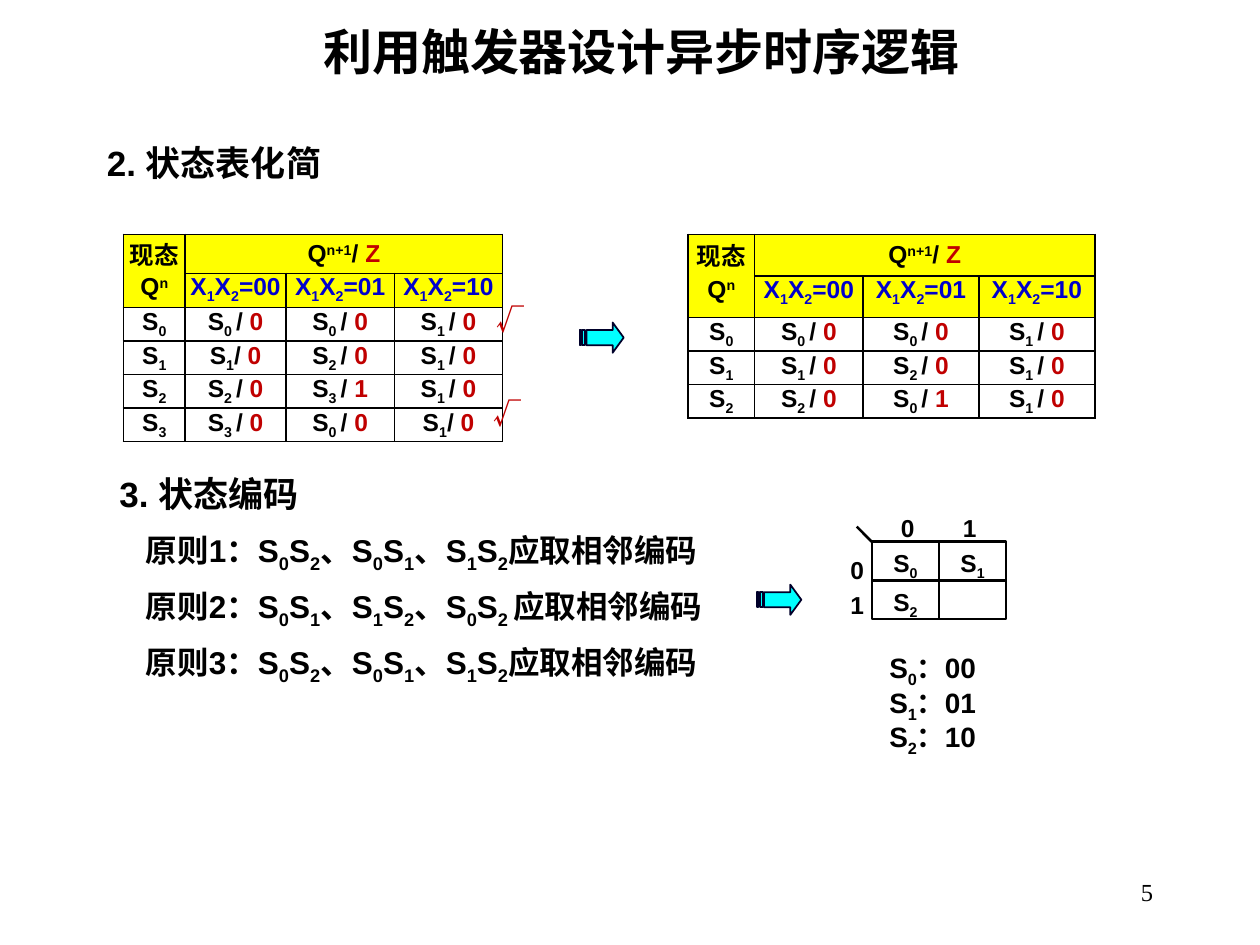
from dataclasses import dataclass

from lxml import etree
from pptx import Presentation
from pptx.dml.color import RGBColor
from pptx.enum.shapes import MSO_CONNECTOR, MSO_SHAPE
from pptx.enum.text import MSO_ANCHOR, PP_ALIGN
from pptx.oxml.ns import qn
from pptx.util import Inches, Pt

COLUMNS, ROWS = 100, 75  # slide grid


@dataclass(frozen=True)
class Theme:
    black: str = "000000"
    red: str = "C00000"
    blue: str = "0000CC"
    yellow: str = "FFFF00"
    cyan: str = "00FFFF"
    navy: str = "00002A"
    latin: str = "Arial"
    cjk: str = "Noto Sans CJK SC"
    serif: str = "Times New Roman"
    title: int = 28
    heading: int = 20
    body: int = 18
    code: int = 16
    small: int = 14


T = Theme()
prs = Presentation()
prs.slide_width, prs.slide_height = Inches(10), Inches(7.5)
slide = prs.slides.add_slide(prs.slide_layouts[6])
shapes = slide.shapes


def col(n):
    return round(prs.slide_width * n / COLUMNS)


def row(n):
    return round(prs.slide_height * n / ROWS)


def place(x, y, w, h):
    return col(x), row(y), col(w), row(h)


def rgb(value):
    return RGBColor.from_string(value)


def write(p, markup, size, font=T.latin, color=T.black, bold=True, align=None):
    """Parts are split by '|'; a leading _ lowers, ^ raises, ! turns red."""
    p.alignment = align
    for part in markup.split("|"):
        mark = part[0] if part[0] in "_^!" else ""
        run = p.add_run()
        run.text = part[len(mark):]
        run.font.size, run.font.bold, run.font.name = Pt(size), bold, font
        run.font.color.rgb = rgb(T.red if mark == "!" else color)
        props = run.font._element
        etree.SubElement(props, qn("a:ea")).set("typeface", font)
        if mark in ("_", "^"):
            props.set("baseline", "-25000" if mark == "_" else "30000")


def text(box, lines, size, spacing=None, before=0, anchor=MSO_ANCHOR.TOP, **style):
    frame = shapes.add_textbox(*place(*box)).text_frame
    frame.word_wrap, frame.vertical_anchor = True, anchor
    for i, line in enumerate(lines):
        p = frame.paragraphs[0] if i == 0 else frame.add_paragraph()
        p.line_spacing = spacing
        p.space_before = Pt(before if i else 0)
        write(p, line, size, **style)


def outline(cell, hidden=""):
    """Black cell borders, except the one side named as hidden."""
    props = cell._tc.get_or_add_tcPr()
    for i, side in enumerate("LRTB"):
        line = etree.Element(qn(f"a:ln{side}"), w=str(Pt(1)))
        if side == hidden:
            etree.SubElement(line, qn("a:noFill"))
        else:
            fill = etree.SubElement(line, qn("a:solidFill"))
            etree.SubElement(fill, qn("a:srgbClr"), val=T.black)
        props.insert(i, line)


def state_table(x, y, widths, heights, states):
    """Each state row lists 'next state/output' for the three inputs."""
    frame = shapes.add_table(len(heights), len(widths),
                             *place(x, y, sum(widths), sum(heights)))
    table = frame.table
    table.first_row = table.horz_banding = False
    for column, width in zip(table.columns, widths):
        column.width = col(width)
    for line, height in zip(table.rows, heights):
        line.height = row(height)

    inputs = [f"X|_1|X|_2|={pair}" for pair in ("00", "01", "10")]
    grid = [["现态", "Q|^n+1|/ |!Z", "", ""], ["Q|^n"] + inputs]
    for i, codes in enumerate(states):
        pairs = [code.split("/") for code in codes]
        grid.append([f"S|_{i}"] + [f"S|_{s}|/ |!{z}" for s, z in pairs])

    for r, line in enumerate(grid):
        for c, markup in enumerate(line):
            cell = table.cell(r, c)
            cell.margin_left = cell.margin_right = 0
            cell.margin_top = cell.margin_bottom = 0
            cell.vertical_anchor = MSO_ANCHOR.TOP if r == 1 else MSO_ANCHOR.MIDDLE
            if r < 2:
                cell.fill.solid()
                cell.fill.fore_color.rgb = rgb(T.yellow)
            else:
                cell.fill.background()
            outline(cell, {(0, 0): "B", (1, 0): "T"}.get((r, c), ""))
            if markup:
                write(cell.text_frame.paragraphs[0], markup, T.small,
                      font=T.cjk if (r, c) == (0, 0) else T.latin,
                      color=T.blue if r == 1 and c else T.black,
                      align=PP_ALIGN.CENTER)
    table.cell(0, 1).merge(table.cell(0, 3))


def striped_arrow(x, y, w=3.5, h=2.4):
    """Right arrow with two stripes at its tail, drawn in 32nds and quarters."""
    head = [(24, 0), (24, 1), (5, 1), (5, 3), (24, 3), (24, 4), (32, 2)]
    stripes = [[(a, 1), (a, 3), (b, 3), (b, 1)] for a, b in ((2, 4), (0, 1))]
    builder = None
    for path in [head] + stripes:
        points = [(col(x + w * u / 32), row(y + h * v / 4)) for u, v in path]
        if builder is None:
            builder = shapes.build_freeform(*points[0])
        else:
            builder.move_to(*points[0])
        builder.add_line_segments(points[1:], close=True)
    arrow = builder.convert_to_shape()
    arrow.shadow.inherit = False
    arrow.fill.solid()
    arrow.fill.fore_color.rgb = rgb(T.cyan)
    arrow.line.color.rgb, arrow.line.width = rgb(T.navy), Pt(1)


def state_map(x, y, w=5.33, h=3.07):
    """Two by two code map with its labels; x, y is the corner of the cells."""
    for i, markup in enumerate(["S|_0", "S|_1", "S|_2", ""]):
        r, c = divmod(i, 2)
        cell = shapes.add_shape(MSO_SHAPE.RECTANGLE,
                                *place(x + c * w, y + r * h, w, h))
        cell.shadow.inherit = False
        cell.fill.background()
        cell.line.color.rgb, cell.line.width = rgb(T.black), Pt(1.5)
        cell.text_frame.vertical_anchor = MSO_ANCHOR.TOP
        if markup:
            write(cell.text_frame.paragraphs[0], markup, T.small,
                  align=PP_ALIGN.CENTER)
    corner = shapes.add_connector(MSO_CONNECTOR.STRAIGHT, col(x - 1.2),
                                  row(y - 1.2), col(x), row(y))
    corner.line.color.rgb, corner.line.width = rgb(T.black), Pt(1.5)
    etree.SubElement(corner._element.spPr, qn("a:effectLst"))
    for c, digit in enumerate("01"):
        text((x + 0.4 + c * 4.9, y - 2.8, 4.9, 3.4), [digit], T.small,
             align=PP_ALIGN.CENTER)
    text((x - 2.7, y + 0.1, 2.7, 6.7), "01", T.small, spacing=1.2)


# Title and page number
text((8.4, 0.9, 85, 6.3), ["利用触发器设计异步时序逻辑"], T.title,
     anchor=MSO_ANCHOR.MIDDLE, font=T.cjk, align=PP_ALIGN.CENTER)
text((71.7, 68.3, 20.8, 5), ["5"], T.small, anchor=MSO_ANCHOR.MIDDLE,
     font=T.serif, bold=False, align=PP_ALIGN.RIGHT)

# State table reduction
text((7.5, 10.7, 85, 51.2), ["2. 状态表化简"], T.heading)
state_table(9.8, 18.6, [4.9, 8, 8.6, 8.6], [3.1, 2.7] + [2.65] * 4, [
    ["0 /0", "0 /0", "1 /0"],
    ["1/0", "2 /0", "1 /0"],
    ["2 /0", "3 /1", "1 /0"],
    ["3 /0", "0 /0", "1/0"]])
for x, y in ((38.4, 23.5), (38.2, 31)):
    text((x, y, 5, 3.7), ["√"], T.code, font=T.cjk, color=T.red)
striped_arrow(46, 25.6)
state_table(54.6, 18.6, [5.3, 8.6, 9.2, 9.2], [3.3, 3.3] + [2.65] * 3, [
    ["0 /0", "0 /0", "1 /0"],
    ["1 /0", "2 /0", "1 /0"],
    ["2 /0", "0 /1", "1 /0"]])

# State encoding
text((8.5, 37, 17, 4.4), ["3. 状态编码"], T.heading)
rules = [("02", "01", "12", ""), ("01", "12", "02", " "), ("02", "01", "12", "")]
text((10.6, 41.7, 50.2, 12.2),
     [f"原则{n}：" + "、".join(f"S|_{a}|S|_{b}|" for a, b in pairs)[:-1]
      + f"{gap}|应取相邻编码" for n, (*pairs, gap) in enumerate(rules, 1)],
     T.body, spacing=0.9, before=10)
striped_arrow(60.1, 46.4)
state_map(69.2, 43)
text((69.6, 51.2, 13.4, 8.3),
     [f"S|_{i}|：{code}" for i, code in enumerate(("00", "01", "10"))],
     T.code, spacing=0.9)

prs.save("out.pptx")
